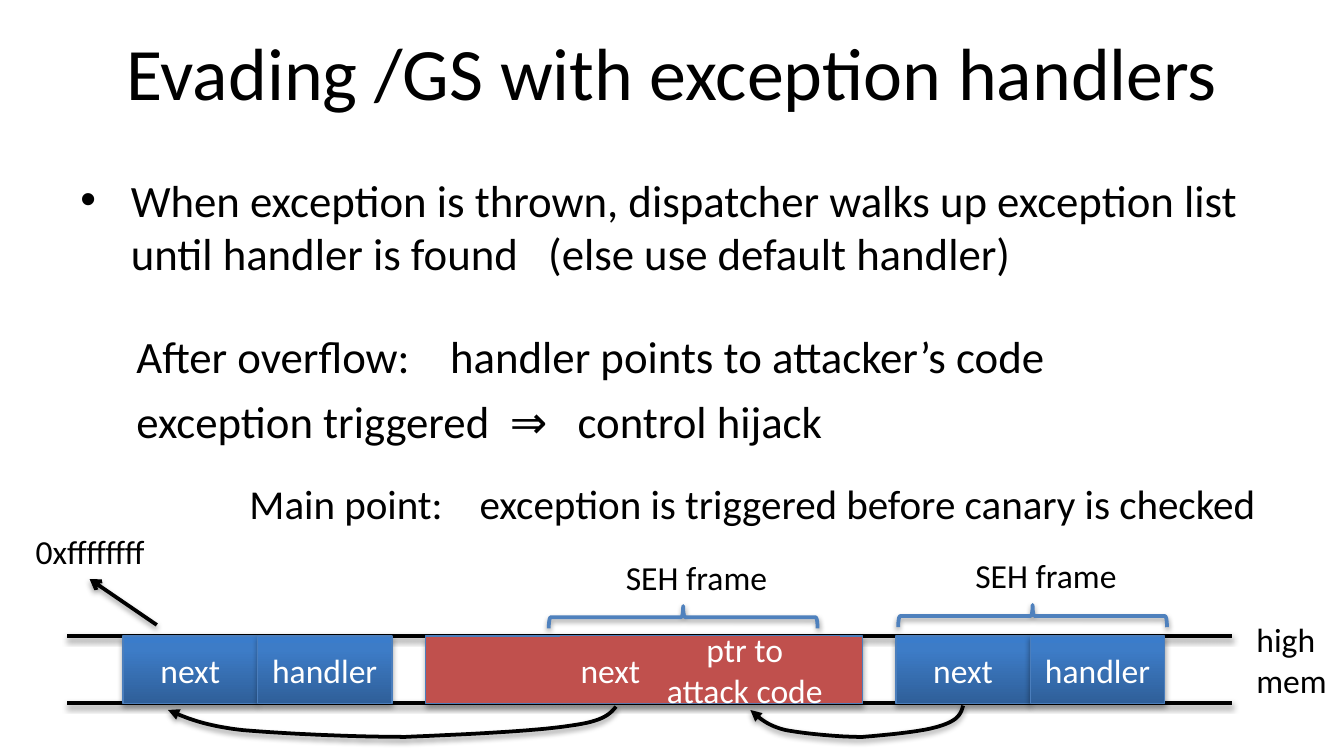
from copy import deepcopy

from pptx import Presentation
from pptx.dml.color import RGBColor
from pptx.enum.shapes import MSO_CONNECTOR, MSO_SHAPE
from pptx.enum.text import MSO_ANCHOR, MSO_AUTO_SIZE, PP_ALIGN
from pptx.oxml.ns import qn
from pptx.oxml.xmlchemy import OxmlElement
from pptx.util import Emu, Pt

FONT = "Calibri"
BLACK = RGBColor(0x00, 0x00, 0x00)
WHITE = RGBColor(0xFF, 0xFF, 0xFF)
RED = RGBColor(0xC0, 0x50, 0x4D)
BRACE_BLUE = RGBColor(0x4F, 0x81, 0xBD)
BORDER_BLUE = RGBColor(0x4B, 0x7E, 0xBC)
BOX_GRADIENT = [
    (0, RGBColor(0x2F, 0x5F, 0x99)),
    (0.8, RGBColor(0x3D, 0x7C, 0xC7)),
    (1, RGBColor(0x3A, 0x7C, 0xCB)),
]

MEMORY_TOP, MEMORY_HEIGHT = 568, 60
CELL_WIDTH = 120
CURVE_STEPS = 16
LINE_SHADOW = (38, 1.6)
BOX_SHADOW = (35, 1.8)


def px(length):
    return Emu(length * 7620)


def add_element(parent, tag, **attributes):
    element = OxmlElement(tag)
    for name, value in attributes.items():
        element.set(name, str(value))
    parent.append(element)
    return element


def set_shadow(shape, opacity, distance):
    properties = shape._element.spPr
    for old in properties.findall(qn("a:effectLst")):
        properties.remove(old)
    effects = add_element(properties, "a:effectLst")
    shadow = add_element(effects, "a:outerShdw", blurRad=Pt(3.1), dist=Pt(distance),
                         dir=90 * 60000, rotWithShape=0)
    color = add_element(shadow, "a:srgbClr", val=BLACK)
    add_element(color, "a:alpha", val=opacity * 1000)


def style_line(shape, color, arrowhead=None):
    shape.line.color.rgb = color
    shape.line.width = Pt(2)
    if arrowhead:
        add_element(shape.line._get_or_add_ln(), "a:tailEnd", type=arrowhead)
    set_shadow(shape, *LINE_SHADOW)


def write_text(frame, lines, size, color=BLACK, align=PP_ALIGN.LEFT, space_before=0):
    for index, line in enumerate(lines):
        paragraph = frame.add_paragraph() if index else frame.paragraphs[0]
        paragraph.alignment = align
        if index:
            paragraph.space_before = Pt(space_before)
        run = paragraph.add_run()
        run.text = line
        run.font.name = FONT
        run.font.size = Pt(size)
        run.font.color.rgb = color


def add_label(slide, left, top, width, height, lines, size=18, space_before=0):
    shape = slide.shapes.add_textbox(px(left), px(top), px(width), px(height))
    shape.text_frame.word_wrap = False
    shape.text_frame.auto_size = MSO_AUTO_SIZE.SHAPE_TO_FIT_TEXT
    write_text(shape.text_frame, lines, size, space_before=space_before)


def add_title(slide, text):
    shape = slide.shapes.add_textbox(px(60), px(7), px(1080), px(113))
    frame = shape.text_frame
    frame.word_wrap = True
    frame.vertical_anchor = MSO_ANCHOR.MIDDLE
    write_text(frame, [text], 39.6, align=PP_ALIGN.CENTER)


def add_bullet(slide, text):
    shape = slide.shapes.add_textbox(px(60), px(148), px(1080), px(130))
    shape.text_frame.word_wrap = True
    write_text(shape.text_frame, [text], 24)
    paragraph = shape.text_frame.paragraphs[0]
    paragraph.space_before = Pt(4.8)
    properties = paragraph._p.get_or_add_pPr()
    properties.set("marL", str(px(45)))
    properties.set("indent", str(px(-45)))
    add_element(properties, "a:buFont", typeface="Arial")
    add_element(properties, "a:buChar", char="•")


def add_memory_box(slide, left, width, text=None):
    shape = slide.shapes.add_shape(MSO_SHAPE.RECTANGLE, px(left), px(MEMORY_TOP),
                                   px(width), px(MEMORY_HEIGHT))
    shape.shadow.inherit = False
    shape.fill.solid()
    shape.fill.fore_color.rgb = RED
    shape.line.fill.background()
    if text:
        frame = shape.text_frame
        frame.word_wrap = True
        frame.vertical_anchor = MSO_ANCHOR.MIDDLE
        write_text(frame, [text], 18, WHITE, PP_ALIGN.CENTER)
    return shape


def add_border(shape):
    shape.line.color.rgb = BORDER_BLUE
    shape.line.width = Pt(0.75)
    set_shadow(shape, *BOX_SHADOW)


def add_frame_cells(slide, left):
    for index, text in enumerate(["next", "handler"]):
        shape = add_memory_box(slide, left + index * CELL_WIDTH, CELL_WIDTH, text)
        shape.fill.gradient()
        shape.fill.gradient_angle = 90
        stop_list = shape._element.spPr.find(".//" + qn("a:gsLst"))
        stop_list.append(deepcopy(stop_list[-1]))
        for stop, (position, color) in zip(shape.fill.gradient_stops, BOX_GRADIENT):
            stop.position = position
            stop.color.rgb = color
        add_border(shape)


def add_line(slide, start, end, arrowhead=None):
    connector = slide.shapes.add_connector(MSO_CONNECTOR.STRAIGHT,
                                           *map(px, start + end))
    style_line(connector, BLACK, arrowhead)


def bezier_point(points, t):
    weights = ((1 - t) ** 3, 3 * t * (1 - t) ** 2, 3 * t ** 2 * (1 - t), t ** 3)
    return tuple(round(sum(weight * point[axis] for weight, point in zip(weights, points)) * 7620)
                 for axis in (0, 1))


def add_curved_arrow(slide, points):
    builder = slide.shapes.build_freeform(*map(px, points[0]))
    vertices = [bezier_point(points[first:first + 4], step / CURVE_STEPS)
                for first in range(0, len(points) - 1, 3)
                for step in range(1, CURVE_STEPS + 1)]
    builder.add_line_segments(vertices, close=False)
    shape = builder.convert_to_shape()
    shape.fill.background()
    style_line(shape, BLACK, "triangle")


def add_frame_brace(slide, left, top):
    shape = slide.shapes.add_shape(MSO_SHAPE.LEFT_BRACE, px(left), px(top), px(20), px(240))
    shape.rotation = 90
    shape._element.spPr.find(qn("a:xfrm")).set("flipV", "1")
    shape.fill.background()
    style_line(shape, BRACE_BLUE)
    add_label(slide, left - 53, top + 60, 152, 48, ["SEH frame"])


def main():
    presentation = Presentation()
    presentation.slide_width, presentation.slide_height = px(1200), px(675)
    slide = presentation.slides.add_slide(presentation.slide_layouts[6])

    add_title(slide, "Evading /GS with exception handlers")
    add_bullet(slide, "When exception is thrown, dispatcher walks up exception list "
                      "until handler is found   (else use default handler)")
    for y in (MEMORY_TOP, MEMORY_TOP + MEMORY_HEIGHT):
        add_line(slide, (60, y), (1100, y))
    add_label(slide, 1110, 547, 88, 85, ["high", "mem"])
    for left in (800, 110):
        add_frame_cells(slide, left)

    add_curved_arrow(slide, [
        (860, 630), (858, 637), (856, 643), (840, 648), (826, 653), (794, 656), (770, 658),
        (748, 658), (719, 655), (702, 652), (685, 648), (678, 641), (670, 634)])
    add_curved_arrow(slide, [
        (550, 631), (545, 637), (540, 644), (509, 648), (478, 653), (410, 656), (362, 658),
        (313, 658), (253, 655), (217, 652), (182, 648), (166, 641), (150, 634)])
    add_line(slide, (140, 558), (80, 517), "arrow")
    add_label(slide, 20, 468, 124, 48, ["0xffffffff"])
    add_frame_brace(slide, 912, 430)
    add_frame_brace(slide, 600, 431)

    add_label(slide, 110, 288, 848, 119,
              ["After overflow:    handler points to attacker’s code",
               "exception triggered  ⇒   control hijack"], 24, 6)
    add_border(add_memory_box(slide, 380, 390))
    add_memory_box(slide, 580, 170, "ptr to attack code")
    add_label(slide, 211, 421, 938, 56,
              ["Main point:    exception is triggered before canary is checked"], 22)
    add_memory_box(slide, 500, 90, "next")

    presentation.save("out.pptx")


if __name__ == "__main__":
    main()
